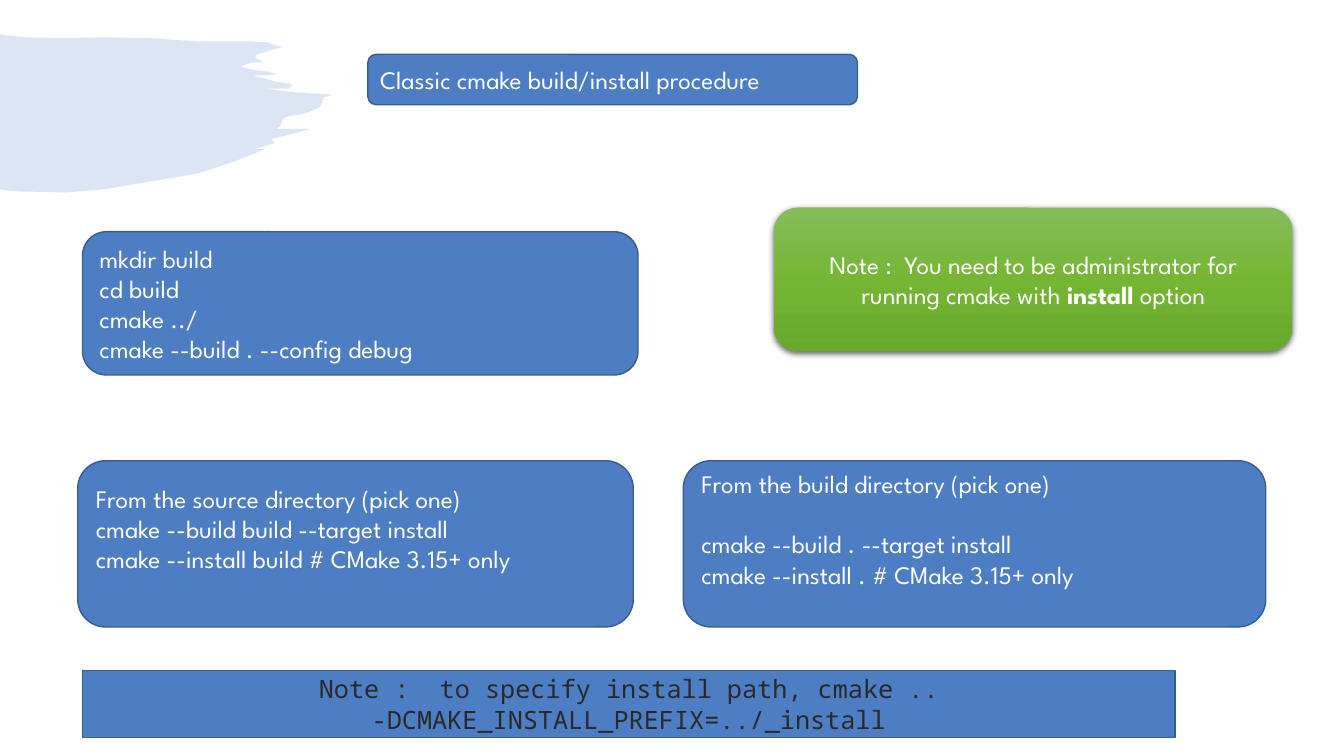
from pptx import Presentation
from pptx.dml.color import RGBColor
from pptx.enum.shapes import MSO_SHAPE as Shape
from pptx.enum.text import MSO_ANCHOR as Anchor, PP_ALIGN as Align
from pptx.oxml import parse_xml
from pptx.oxml.ns import nsdecls
from pptx.util import Cm, Pt

BLUE, NAVY, WHITE, INK = "4D7DC3", "395C90", "FFFFFF", "292929"
SANS, MONO = "League Spartan", "Noto Sans Mono"
LINE = Pt(21.8)  # one line of 18 pt text

# Content: paragraphs are lists of (text, bold) runs or plain strings
TITLE = "Classic cmake build/install procedure"
TITLE_BOX = (9.27, 1.37, 12.34, 1.27)
BUILD_STEPS = ["mkdir build", "cd build", "cmake ../", "cmake --build . --config debug"]
FROM_BUILD = ["From the build directory (pick one)",
              "cmake --build . --target install",
              "cmake --install . # CMake 3.15+ only"]
FROM_SOURCE = ["From the source directory (pick one)",
               "cmake --build build --target install",
               "cmake --install build # CMake 3.15+ only"]
ADMIN_NOTE = [[("Note :  You need to be administrator for running cmake with ", False),
               ("install", True), (" option", False)]]
PREFIX_NOTE = ["Note :  to specify install path, cmake .. -DCMAKE_INSTALL_PREFIX=../_install"]
GREENS = [(0, "85BC5A"), (50, "75B735"), (100, "68A82A")]

# Brush stroke outline, in hundredths of an inch
BRUSH = [
    (0, 34), (6, 35), (25, 37), (66, 38), (102, 37), (151, 38), (194, 41), (248, 41),
    (265, 42), (280, 47), (271, 49), (255, 54), (253, 57), (256, 59), (262, 62),
    (250, 62), (238, 66), (246, 68), (256, 70), (266, 71), (275, 74), (251, 75),
    (263, 78), (273, 81), (280, 82), (288, 83), (290, 85), (287, 88), (284, 88),
    (263, 88), (296, 92), (330, 94), (321, 97), (318, 106), (307, 111), (300, 113),
    (283, 116), (280, 120), (278, 125), (274, 128), (308, 128), (289, 133), (269, 138),
    (273, 142), (252, 148), (263, 148), (233, 160), (197, 172), (102, 188), (65, 191),
    (23, 190), (7, 189), (0, 188)]


def color(hex_code):
    return RGBColor.from_string(hex_code)


def write(frame, paragraphs, align=Align.LEFT, font=SANS, ink=WHITE):
    frame.word_wrap = True
    frame.vertical_anchor = Anchor.MIDDLE
    for i, runs in enumerate(paragraphs):
        para = frame.paragraphs[0] if i == 0 else frame.add_paragraph()
        para.alignment = align
        para.font.size, para.font.name = Pt(18), font
        para.font.color.rgb = color(ink)
        for text, bold in [(runs, False)] if isinstance(runs, str) else runs:
            run = para.add_run()
            run.text = text
            if bold:
                run.font.bold = True


def add_panel(box, paragraphs=(), kind=Shape.ROUNDED_RECTANGLE, **style):
    panel = slide.shapes.add_shape(kind, *map(Cm, box))
    panel.shadow.inherit = False
    panel.fill.solid()
    panel.fill.fore_color.rgb = color(BLUE)
    panel.line.color.rgb = color(NAVY)
    panel.line.width = Pt(1)
    write(panel.text_frame, paragraphs, **style)
    return panel


prs = Presentation()
prs.slide_width, prs.slide_height = Cm(33.87), Cm(19.05)
slide = prs.slides.add_slide(prs.slide_layouts[5])

# Pale brush stroke
outline = slide.shapes.build_freeform(*BRUSH[0], scale=Cm(0.0254))
outline.add_line_segments(BRUSH[1:], close=True)
brush = outline.convert_to_shape()
brush.shadow.inherit = False
brush.fill.solid()
brush.fill.fore_color.rgb = color(BLUE)
brush.line.fill.background()
brush_color = brush.fill._xPr.solidFill[0]
brush_color.append(parse_xml(f'<a:alpha {nsdecls("a")} val="20000"/>'))

# Title on its rounded panel
add_panel(TITLE_BOX)
title = slide.shapes.title
title.left, title.top, title.width, title.height = map(Cm, TITLE_BOX)
write(title.text_frame, [TITLE])
title.text_frame.margin_left = Cm(0.31)
slide.shapes._spTree.append(title._element)

# Command panels
add_panel((2.08, 5.84, 14, 3.61), BUILD_STEPS)
from_build = add_panel((17.22, 11.61, 14.68, 4.19), FROM_BUILD)
from_source = add_panel((1.96, 11.61, 14, 4.19), FROM_SOURCE)
from_build.text_frame.paragraphs[0].space_after = LINE
for panel in (from_build, from_source):
    panel.text_frame.margin_bottom = Cm(0.13) + LINE

# Green note with gradient and soft shadow
admin = add_panel((19.51, 5.23, 13.06, 3.61), ADMIN_NOTE, align=Align.CENTER)
admin.line.fill.background()
props = admin._element.spPr
stops = "".join(f'<a:gs pos="{at * 1000}"><a:srgbClr val="{green}"/></a:gs>'
                for at, green in GREENS)
props.replace(props.find("{*}solidFill"), parse_xml(
    f'<a:gradFill {nsdecls("a")} rotWithShape="1"><a:gsLst>{stops}</a:gsLst>'
    '<a:lin ang="5400000" scaled="0"/></a:gradFill>'))
props.find("{*}effectLst").append(parse_xml(
    f'<a:outerShdw {nsdecls("a")} blurRad="{Pt(4.5)}" dist="{Pt(1.5)}" dir="5400000" '
    'algn="ctr" rotWithShape="0"><a:srgbClr val="000000"><a:alpha val="63000"/>'
    '</a:srgbClr></a:outerShdw>'))

# Install path note
add_panel((2.08, 16.89, 27.53, 1.7), PREFIX_NOTE, Shape.RECTANGLE,
          align=Align.CENTER, font=MONO, ink=INK)

prs.save("out.pptx")
